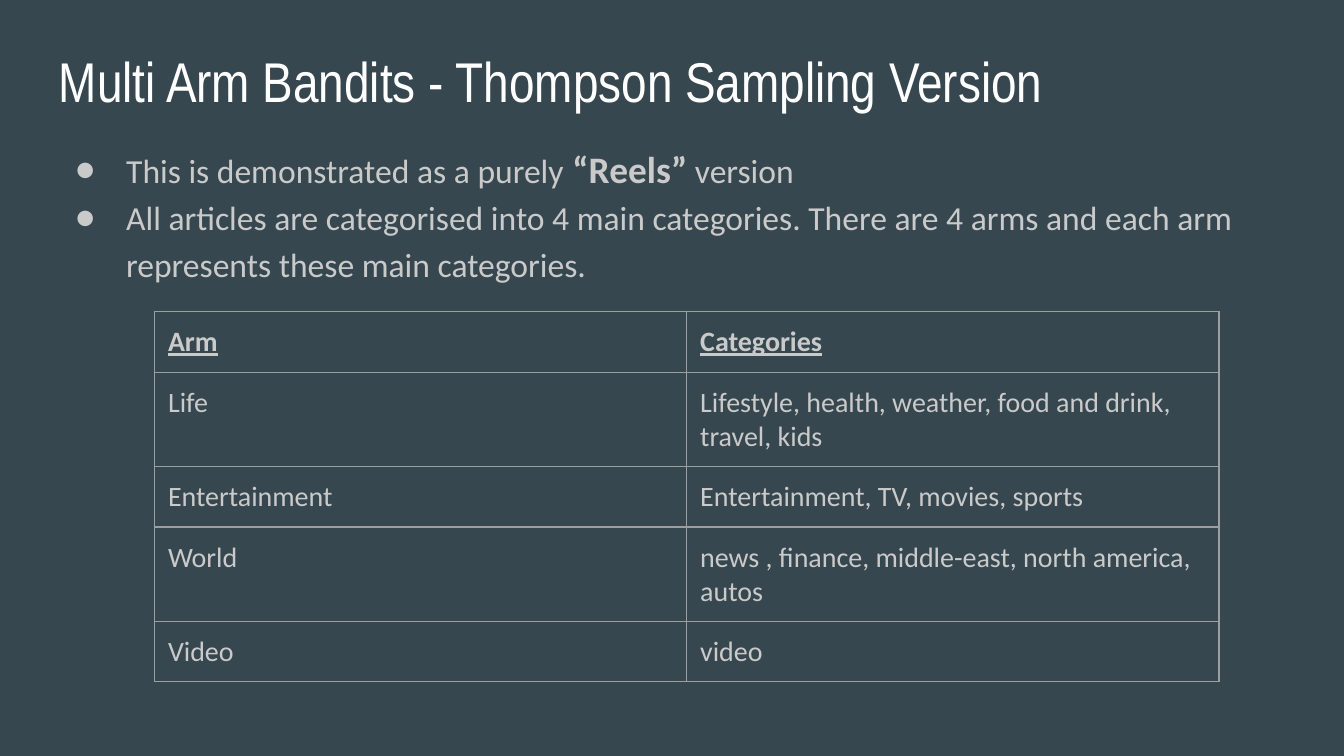
from dataclasses import dataclass

from lxml.etree import SubElement
from pptx import Presentation
from pptx.dml.color import RGBColor
from pptx.oxml.ns import qn
from pptx.util import Inches, Pt


@dataclass(frozen=True)
class Theme:
    """Colours, fonts and type sizes of the slide."""
    background: str = "37474F"
    heading: str = "FFFFFF"
    body: str = "CACACA"
    border: str = "9E9E9E"
    heading_font: str = "Arial Narrow"
    body_font: str = "Calibri"
    heading_size: int = 30
    body_size: int = 18
    emphasis_size: int = 20
    table_size: int = 15


THEME = Theme()
MARGIN = Inches(0.1)
ARMS = [
    ("Arm", "Categories"),
    ("Life", "Lifestyle, health, weather, food and drink, travel, kids"),
    ("Entertainment", "Entertainment, TV, movies, sports"),
    ("World", "news , finance, middle-east, north america, autos"),
    ("Video", "video"),
]
POINTS = [
    [("This is demonstrated as a purely", False), (" “Reels”", True), (" version", False)],
    [("All articles are categorised into 4 main categories. There are 4 arms "
      "and each arm represents these main categories.", False)],
]


def style_font(font, name, size, color):
    """Apply typeface, size and colour."""
    font.name = name
    font.size = Pt(size)
    font.color.rgb = RGBColor.from_string(color)


def set_margins(holder):
    """Give a text frame or cell equal margins."""
    holder.margin_left = holder.margin_right = MARGIN
    holder.margin_top = holder.margin_bottom = MARGIN


def add_text_frame(slide, top, height):
    """Add a full-width wrapping text frame."""
    frame = slide.shapes.add_textbox(
        Inches(0.34), Inches(top), Inches(9.32), Inches(height)).text_frame
    frame.word_wrap = True
    set_margins(frame)
    return frame


def add_title(slide, wording):
    """Add the slide heading."""
    heading = add_text_frame(slide, 0.25, 0.63).paragraphs[0]
    heading.text = wording
    style_font(heading.font, THEME.heading_font, THEME.heading_size, THEME.heading)


def set_bullet(paragraph):
    """Give a paragraph a hanging round bullet."""
    properties = paragraph._p.get_or_add_pPr()
    properties.set("marL", str(Inches(0.5)))
    properties.set("indent", str(Inches(-0.38)))
    bullet_color = SubElement(properties, qn("a:buClr"))
    SubElement(bullet_color, qn("a:srgbClr"), val=THEME.body)
    SubElement(properties, qn("a:buSzPts"), val=str(THEME.body_size * 100))
    SubElement(properties, qn("a:buFont"), typeface=THEME.body_font)
    SubElement(properties, qn("a:buChar"), char="●")


def add_bullets(slide, points):
    """Add bullet points with emphasised phrases."""
    frame = add_text_frame(slide, 0.94, 3.74)
    for index, phrases in enumerate(points):
        point = frame.add_paragraph() if index else frame.paragraphs[0]
        point.line_spacing = 1.15
        set_bullet(point)
        style_font(point.font, THEME.body_font, THEME.body_size, THEME.body)
        for wording, emphasised in phrases:
            phrase = point.add_run()
            phrase.text = wording
            if emphasised:
                phrase.font.bold = True
                phrase.font.size = Pt(THEME.emphasis_size)


def set_borders(cell):
    """Draw a thin line on all four sides of a cell."""
    properties = cell._tc.get_or_add_tcPr()
    for position, side in enumerate(("a:lnL", "a:lnR", "a:lnT", "a:lnB")):
        line = properties.makeelement(qn(side), {"w": str(Pt(0.75))})
        fill = SubElement(line, qn("a:solidFill"))
        SubElement(fill, qn("a:srgbClr"), val=THEME.border)
        properties.insert(position, line)


def add_arm_table(slide, rows):
    """Add the table of arms and their categories."""
    table = slide.shapes.add_table(
        len(rows), 2, Inches(1.15), Inches(2.32),
        Inches(7.92), Inches(0.42 * len(rows))).table
    table.horz_banding = False
    for row_index, row in enumerate(rows):
        for column_index, wording in enumerate(row):
            cell = table.cell(row_index, column_index)
            cell.fill.background()
            set_margins(cell)
            set_borders(cell)
            entry = cell.text_frame.paragraphs[0]
            entry.text = wording
            style_font(entry.font, THEME.body_font, THEME.table_size, THEME.body)
            entry.font.bold = entry.font.underline = row_index == 0


def main():
    """Build and save the slide."""
    deck = Presentation()
    deck.slide_width = Inches(10)
    deck.slide_height = deck.slide_width * 9 // 16
    slide = deck.slides.add_slide(deck.slide_layouts[6])
    slide.background.fill.solid()
    slide.background.fill.fore_color.rgb = RGBColor.from_string(THEME.background)
    add_title(slide, "Multi Arm Bandits - Thompson Sampling Version")
    add_bullets(slide, POINTS)
    add_arm_table(slide, ARMS)
    deck.save("out.pptx")


if __name__ == "__main__":
    main()
